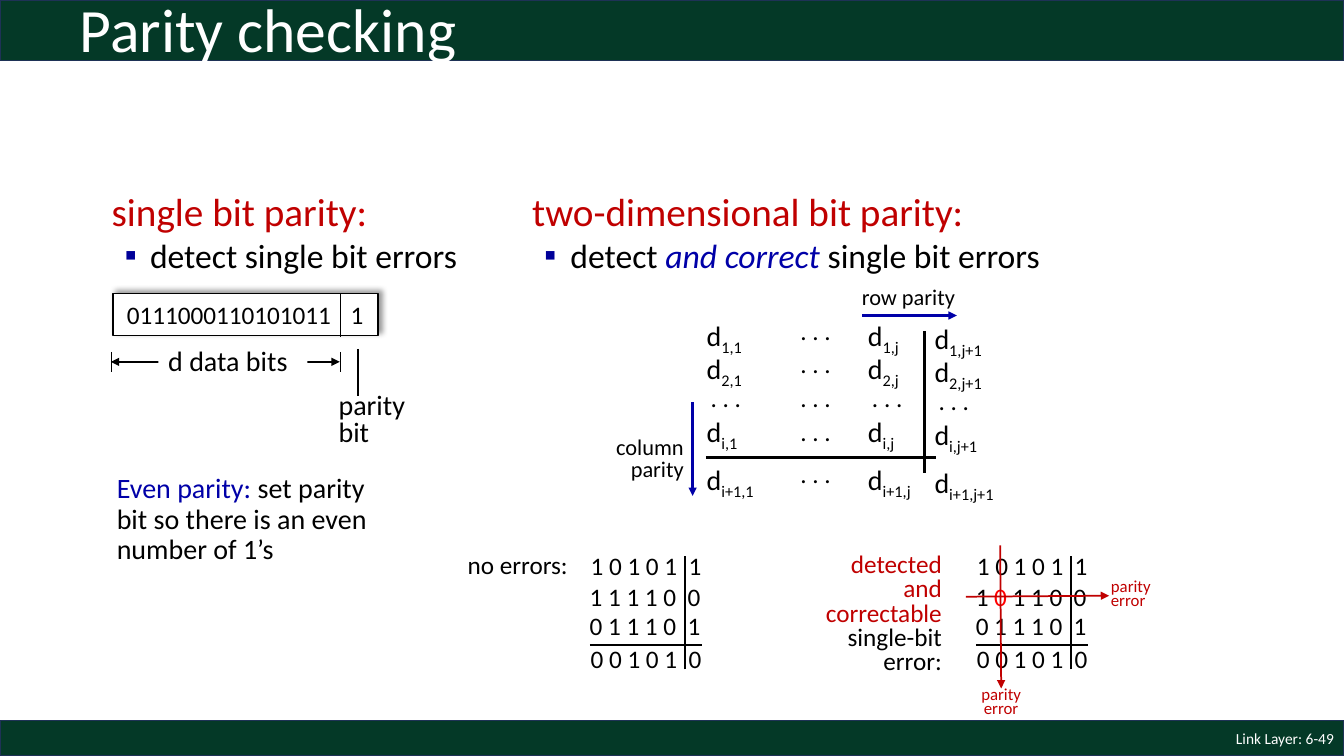
from lxml.etree import SubElement
from pptx import Presentation
from pptx.dml.color import RGBColor
from pptx.enum.shapes import MSO_CONNECTOR, MSO_SHAPE
from pptx.enum.text import MSO_ANCHOR, MSO_AUTO_SIZE, PP_ALIGN
from pptx.oxml.ns import qn
from pptx.util import Inches, Pt

GREEN = RGBColor(0x04, 0x39, 0x27)
NAVY = RGBColor(0x1E, 0x32, 0x56)
BLUE = RGBColor(0x00, 0x00, 0xA8)
RED = RGBColor(0xC0, 0x00, 0x00)
COLON = RGBColor(0xCC, 0x00, 0x00)
BRIGHT = RGBColor(0xFF, 0x00, 0x00)
BLACK = RGBColor(0x00, 0x00, 0x00)
WHITE = RGBColor(0xFF, 0xFF, 0xFF)
LEFT, MID, RIGHT = PP_ALIGN.LEFT, PP_ALIGN.CENTER, PP_ALIGN.RIGHT
DOTS = ". . ."

# Content: a paragraph is a list of runs, a run is (text, format)
BARS = [(0, 0.6), (7.15, 0.35)]
TITLE = [[("Parity checking", {})]]
SINGLE = [[("single bit parity", {"size": 28, "color": RED}),
           (":", {"size": 28, "color": COLON})],
          [("detect single bit errors", {})]]
DOUBLE = [[("two-dimensional bit parity:", {"size": 28, "color": RED})],
          [("detect ", {}), ("and correct ", {"color": BLUE, "italic": True}),
           ("single bit errors", {})]]
EVEN = [[("Even parity: ", {"color": BLUE}),
         ("set parity bit so there is an even number of 1’s", {})]]
FOUND = [[(word, {"color": RED})] for word in ("detected", "and", "correctable")]
FOUND += [[("single-bit", {})], [("error:", {})]]

# Matrix of data and parity: (left, drop, column index)
COLS = [(6.91, 0, "1"), (8.51, 0, "j"), (9.17, 0.03, "j+1")]
ROWS = [(3.11, "1"), (3.44, "2"), (4.06, "i"), (4.54, "i+1")]
GAPS = [3.08, 3.41, 3.74, 4.08, 4.5]

# Bit grids: (top, text)
BITS = [(5.41, "1 0 1 0 1  1"), (5.72, "1 1 1 1 0  0"),
        (6.01, "0 1 1 1 0  1"), (6.33, "0 0 1 0 1  0")]
FLIP = [[("1 ", {}), ("0", {"color": BRIGHT}), (" 1 1 0  0", {})]]
GRIDS = [(5.75, None), (9.58, FLIP)]

# Plain labels: (left, top, width, lines, size, format)
LABELS = [
    (1.16, 2.92, 2.4, ["0111000110101011"], 18, {}),
    (3.38, 2.92, 0.4, ["1"], 18, {}),
    (3.26, 3.86, 1.48, ["parity", "bit"], 20, {"space": 0.8, "fill": WHITE}),
    (1.57, 3.42, 1.48, ["d data bits"], 20, {"space": 0.8, "fill": WHITE}),
    (8.45, 2.76, 1.3, ["row parity"], 16, {}),
    (5.88, 4.3, 1, ["column", "parity"], 16, {"space": 0.8, "align": RIGHT}),
    (4.54, 5.4, 1.3, ["no errors:"], 18, {}),
    (9.53, 6.79, 0.8, ["parity", "error"], 12,
     {"space": 0.7, "align": MID, "color": RED}),
    (10.92, 5.72, 0.8, ["parity", "error"], 12, {"space": 0.7, "color": RED}),
]

# Lines: (x1, y1, x2, y2, width, colour, ends with arrowheads)
SPAN = (1.1, 3.59, 3.37, 3.59, 1.75, BLACK, ("headEnd", "tailEnd"))
TIP = ("tailEnd",)
LINES = [
    (3.38, 3.49, 3.38, 3.69, 0.5, BLACK, ()),
    (1.1, 3.49, 1.1, 3.69, 0.5, BLACK, ()),
    (3.55, 3.46, 3.55, 3.93, 1, BLACK, ()),
    (3.38, 2.92, 3.38, 3.34, 1, BLACK, ()),
    (7, 4.54, 9.28, 4.54, 2, BLACK, ()),
    (9.17, 4.69, 9.17, 3.28, 2, BLACK, ()),
    (8.55, 3.13, 9.49, 3.13, 1.75, BLUE, TIP),
    (6.87, 3.99, 6.87, 4.92, 1.75, BLUE, TIP),
    (9.58, 5.92, 11, 5.91, 1.25, RED, TIP),
    (9.92, 5.41, 9.93, 6.83, 1.25, RED, TIP),
]


def write(frame, paras, size, color=BLACK, align=LEFT, space=1.0):
    frame.word_wrap = True
    for num, runs in enumerate(paras):
        para = frame.paragraphs[0] if num == 0 else frame.add_paragraph()
        para.alignment, para.line_spacing = align, space
        for text, style in runs:
            run = para.add_run()
            run.text = text
            form = {"name": "Calibri", "size": size, "color": color, **style}
            run.font.color.rgb = form.pop("color")
            form["size"] = Pt(form["size"])
            if form.pop("sub", False):
                run.font._element.set("baseline", "-25000")
            for key, value in form.items():
                setattr(run.font, key, value)


def label(x, y, w, h, paras, size, fill=None, **form):
    box = slide.shapes.add_textbox(*map(Inches, (x, y, w, h)))
    write(box.text_frame, paras, size, **form)
    if fill is not None:
        box.fill.solid()
        box.fill.fore_color.rgb = fill
    return box.text_frame


def rect(x, y, w, h, fill, edge):
    box = slide.shapes.add_shape(MSO_SHAPE.RECTANGLE, *map(Inches, (x, y, w, h)))
    box.shadow.inherit = False
    box.fill.solid()
    box.fill.fore_color.rgb = fill
    box.line.color.rgb = edge
    box.line.width = Pt(1)
    return box


def line(x1, y1, x2, y2, width, color, ends):
    link = slide.shapes.add_connector(
        MSO_CONNECTOR.STRAIGHT, *map(Inches, (x1, y1, x2, y2)))
    link.line.color.rgb = color
    link.line.width = Pt(width)
    for end in ends:
        SubElement(link.line._get_or_add_ln(), qn("a:" + end), type="triangle")
    SubElement(link._element.spPr, qn("a:effectLst"))


def bullet(para, left, hang):
    props = para._p.get_or_add_pPr()
    props.set("marL", str(Inches(left)))
    props.set("indent", str(-Inches(hang)))
    SubElement(SubElement(props, qn("a:buClr")), qn("a:srgbClr"), val="000099")
    SubElement(props, qn("a:buFont"), typeface="Calibri")
    SubElement(props, qn("a:buChar"), char="▪")


deck = Presentation()
deck.slide_width, deck.slide_height = Inches(13.33), Inches(7.5)
slide = deck.slides.add_slide(deck.slide_layouts[5])

# Bars, footer and title
for top, high in BARS:
    rect(0, top, 13.33, high, GREEN, NAVY)
foot = label(10.33, 7.15, 3, 0.35, [[("Link Layer: 6-49", {})]], 11,
             color=WHITE, align=RIGHT)
foot.vertical_anchor = MSO_ANCHOR.MIDDLE
title = slide.shapes.title
title.left, title.top, title.width, title.height = map(
    Inches, (0.69, -0.17, 11.5, 0.98))
title.text_frame.auto_size = MSO_AUTO_SIZE.NONE
title.text_frame.vertical_anchor = MSO_ANCHOR.MIDDLE
write(title.text_frame, TITLE, 44, color=WHITE, space=0.9)
slide.shapes._spTree.append(title._element)

# Headings with bullets
head = label(1.01, 1.81, 3.8, 0.98, SINGLE, 24)
bullet(head.paragraphs[1], 0.38, 0.25)
head = label(5.18, 1.81, 5.6, 0.98, DOUBLE, 24)
bullet(head.paragraphs[1], 0.38, 0.26)

# Data word with its shadow
word = rect(1.12, 2.91, 2.63, 0.42, WHITE, BLACK)
cast = SubElement(word._element.spPr.find(qn("a:effectLst")), qn("a:outerShdw"),
                  blurRad=str(Pt(4)), dist=str(Pt(3)), dir=str(315 * 60000))
tint = SubElement(cast, qn("a:srgbClr"), val="000000")
SubElement(tint, qn("a:alpha"), val="40000")
line(*SPAN)

# Labels
for x, y, w, rows, size, form in LABELS:
    label(x, y, w, 0.4, [[(row, {})] for row in rows], size, **form)
label(1.06, 4.66, 2.99, 1.01, EVEN, 20, space=0.9)
label(7.9, 5.45, 1.54, 1.32, FOUND, 18, align=RIGHT, space=0.8)

# Matrix
for x, drop, col in COLS:
    for y, row in ROWS:
        cell = [[("d", {}), (f"{row},{col}", {"sub": True})]]
        label(x, y + drop, 0.95, 0.44, cell, 20)
spots = [(x + 0.04, 3.74 + drop) for x, drop, _ in COLS]
for x, y in spots + [(7.84, y) for y in GAPS]:
    label(x, y, 0.69, 0.4, [[(DOTS, {})]], 18)

# Bit grids
for x, flip in GRIDS:
    for num, (y, bits) in enumerate(BITS):
        paras = flip if flip and num == 1 else [[(bits, {})]]
        label(x + (0.01 if num in (0, 3) else 0), y, 1.4, 0.4, paras, 18)
    line(x + 0.1, 6.4, x + 1.21, 6.4, 1.5, BLACK, ())
    line(x + 1.04, 6.64, x + 1.04, 5.52, 1.5, BLACK, ())

# Rules and arrows
for item in LINES:
    line(*item)

deck.save("out.pptx")
